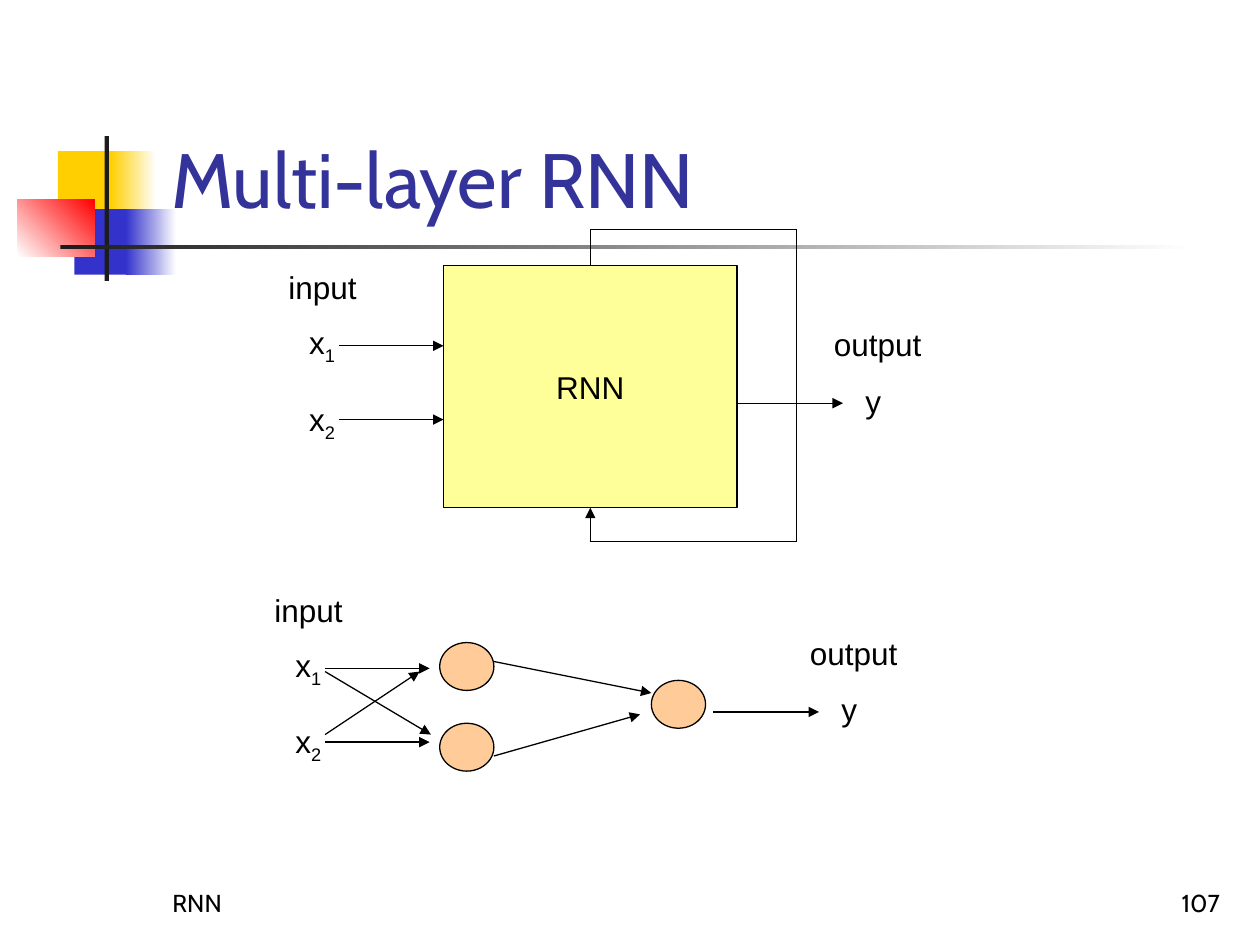
from dataclasses import dataclass

from pptx import Presentation
from pptx.dml.color import RGBColor
from pptx.enum.shapes import MSO_CONNECTOR, MSO_SHAPE
from pptx.enum.text import MSO_ANCHOR, MSO_AUTO_SIZE, PP_ALIGN
from pptx.oxml.ns import qn
from pptx.util import Inches, Pt
from lxml.etree import SubElement

COLS, ROWS = 100, 75


@dataclass
class Theme:
    ink: str = "000000"
    title: str = "333399"
    box: str = "FFFF99"
    node: str = "FFCC99"
    gold: str = "FFCF01"
    blue: str = "3333CC"
    red: str = "FF0000"
    dark: str = "1C1C1C"
    white: str = "FFFFFF"
    head: str = "Cabin"
    body: str = "Arial"
    big: int = 44
    mid: int = 18
    small: int = 14
    thin: float = 0.75


class Board:
    """Draws on one slide; lengths are columns and rows of the grid."""

    def __init__(self, deck, theme):
        self.theme = theme
        self.slide = deck.slides.add_slide(deck.slide_layouts[5])
        self.shapes = self.slide.shapes
        self.col = deck.slide_width / COLS
        self.row = deck.slide_height / ROWS

    def place(self, x, y):
        return round(x * self.col), round(y * self.row)

    def words(self, frame, text, font, size, color, sub="", align=PP_ALIGN.LEFT):
        para = frame.paragraphs[0]
        para.alignment = align
        for part in filter(None, (text, sub)):
            run = para.add_run()
            run.text = part
            run.font.name, run.font.size = font, Pt(size)
            run.font.color.rgb = RGBColor.from_string(color)
        if sub:
            run._r.get_or_add_rPr().set("baseline", "-25000")

    def title(self, text, x, y, w, h):
        t, shape = self.theme, self.shapes.title
        shape.left, shape.top = self.place(x, y)
        shape.width, shape.height = self.place(w, h)
        frame = shape.text_frame
        frame.auto_size = MSO_AUTO_SIZE.NONE
        frame.vertical_anchor = MSO_ANCHOR.BOTTOM
        self.words(frame, text, t.head, t.big, t.title)
        # Bring the title in front of the ornament
        self.shapes.element.append(shape.element)

    def label(self, text, x, y, w, sub=""):
        t = self.theme
        frame = self.shapes.add_textbox(*self.place(x, y), *self.place(w, 4)).text_frame
        frame.word_wrap = False
        frame.auto_size = MSO_AUTO_SIZE.SHAPE_TO_FIT_TEXT
        self.words(frame, text, t.body, t.mid, t.ink, sub)

    def footer(self, text, x, align):
        t = self.theme
        box = self.shapes.add_textbox(*self.place(x, 68.3), *self.place(20.8, 5))
        frame = box.text_frame
        frame.word_wrap = True
        frame.vertical_anchor = MSO_ANCHOR.BOTTOM
        self.words(frame, text, t.head, t.small, t.ink, align=align)

    def form(self, kind, x, y, w, h, fill, fade=None, angle=0, edge=True):
        shape = self.shapes.add_shape(kind, *self.place(x, y), *self.place(w, h))
        shape.shadow.inherit = False
        if fade:
            shape.fill.gradient()
            shape.fill.gradient_angle = angle
            for stop, color in zip(shape.fill.gradient_stops, (fill, fade)):
                stop.color.rgb = RGBColor.from_string(color)
        else:
            shape.fill.solid()
            shape.fill.fore_color.rgb = RGBColor.from_string(fill)
        if edge:
            shape.line.color.rgb = RGBColor.from_string(self.theme.ink)
            shape.line.width = Pt(self.theme.thin)
        else:
            shape.line.fill.background()
        return shape

    def box(self, text, *area):
        t = self.theme
        shape = self.form(MSO_SHAPE.RECTANGLE, *area, t.box)
        frame = shape.text_frame
        frame.word_wrap = False
        frame.vertical_anchor = MSO_ANCHOR.MIDDLE
        self.words(frame, text, t.body, t.mid, t.ink, align=PP_ALIGN.CENTER)
        return shape

    def line(self, start, end, arrow=True):
        link = self.shapes.add_connector(
            MSO_CONNECTOR.STRAIGHT, *self.place(*start), *self.place(*end))
        link.line.color.rgb = RGBColor.from_string(self.theme.ink)
        link.line.width = Pt(self.theme.thin)
        props = link.element.spPr
        if arrow:
            SubElement(props.find(qn("a:ln")), qn("a:tailEnd"), type="triangle")
        SubElement(props, qn("a:effectLst"))
        return link

    def ports(self, left, top, right, low):
        """Inputs hang from (left, top), the output from (right, low)."""
        self.label("input", left, top, 7.4)
        for i in range(2):
            self.label("x", left + 1.65, top + 4.35 + 6.1 * i, 4.2, str(i + 1))
            y = top + 6.65 + 5.85 * i
            self.line((left + 5, y), (left + 13.3, y))
        self.label("output", right, low, 9)
        self.label("y", right + 2.5, low + 4.5, 3.3)
        self.line((right - 6.7, low + 6.7), (right + 1.7, low + 6.7))


def main():
    deck = Presentation()
    deck.slide_width, deck.slide_height = Inches(10), Inches(7.5)
    t = Theme()
    board = Board(deck, t)

    # Corner ornament and rule
    for *area, fill, fade, angle in (
        (4.6, 12, 4.8, 5.2, t.gold, None, 0),
        (8.8, 12, 3.6, 5.2, t.gold, t.white, 0),
        (5.9, 16.6, 4.6, 5.2, t.blue, None, 0),
        (10, 16.6, 4, 5.2, t.blue, t.white, 0),
        (1.4, 15.8, 6.1, 4.6, t.white, t.red, 45),
        (8.3, 10.8, 0.35, 11.5, t.dark, None, 0),
        (4.8, 19.45, 90, 0.35, t.dark, t.white, 0),
    ):
        board.form(MSO_SHAPE.RECTANGLE, *area, fill, fade, angle, edge=False)

    # Footer and title
    board.footer("RNN", 12.7, PP_ALIGN.LEFT)
    board.footer("107", 77, PP_ALIGN.RIGHT)
    board.title("Multi-layer RNN", 12.6, 2.3, 85.2, 16)

    # Network as one box, with its feedback loop
    box = board.box("RNN", 35.2, 21.1, 23.3, 19.2)
    board.ports(21.9, 20.8, 65.2, 25.3)
    mid, side, top, low = 46.85, 63.2, 18.2, 43
    loop = [(mid, 21.1), (mid, top), (side, top), (side, low), (mid, low), (mid, 40.3)]
    links = [board.line(a, b, arrow=b == loop[-1]) for a, b in zip(loop, loop[1:])]
    links[0].begin_connect(box, 0)
    links[-1].end_connect(box, 2)

    # Network unfolded into its layers
    board.ports(20.8, 46.4, 63.3, 49.8)
    for x, y in ((34.9, 51), (34.9, 57.4), (51.7, 54)):
        board.form(MSO_SHAPE.OVAL, x, y, 4.3, 3.8, t.node)
    for start, end in (
        ((39.2, 52.5), (51.7, 55)),
        ((39.2, 60), (50.8, 56.7)),
        ((25.8, 53.3), (34.2, 58.3)),
        ((25.8, 58.3), (33.3, 53.3)),
    ):
        board.line(start, end)

    deck.save("out.pptx")


if __name__ == "__main__":
    main()
